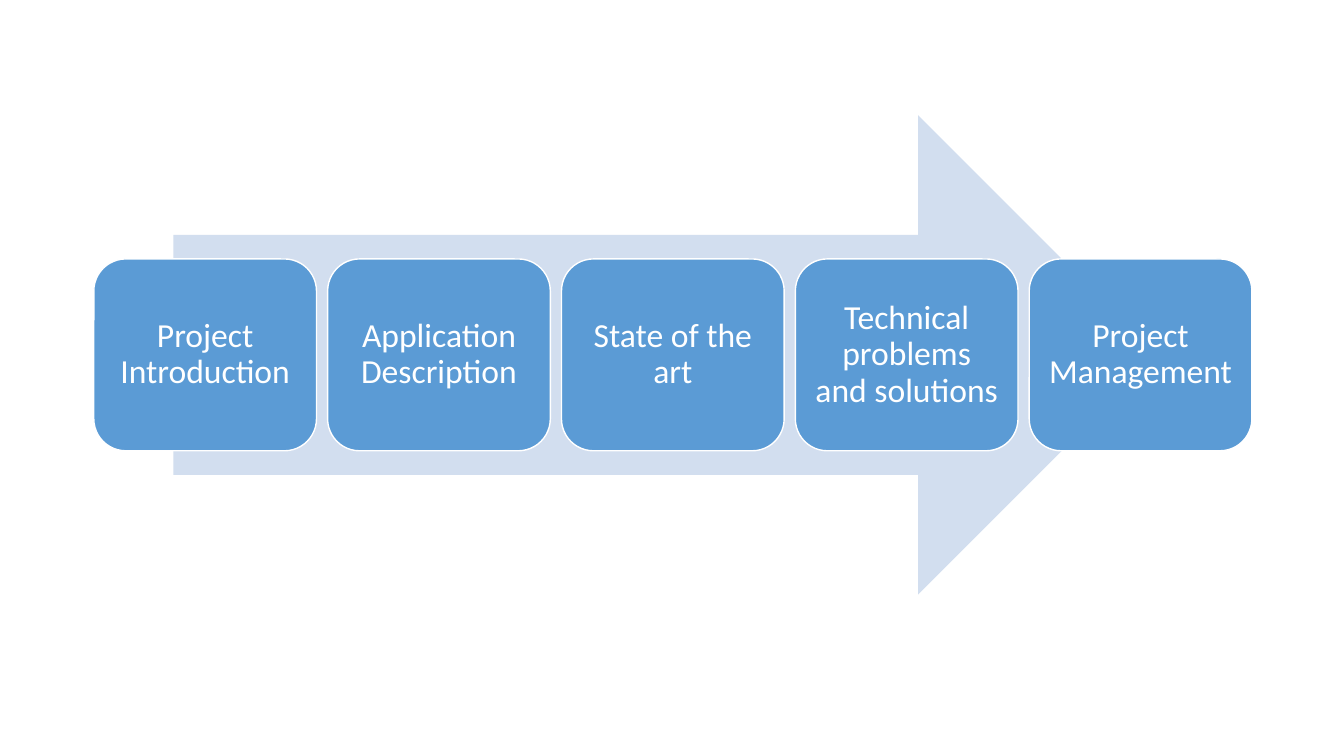
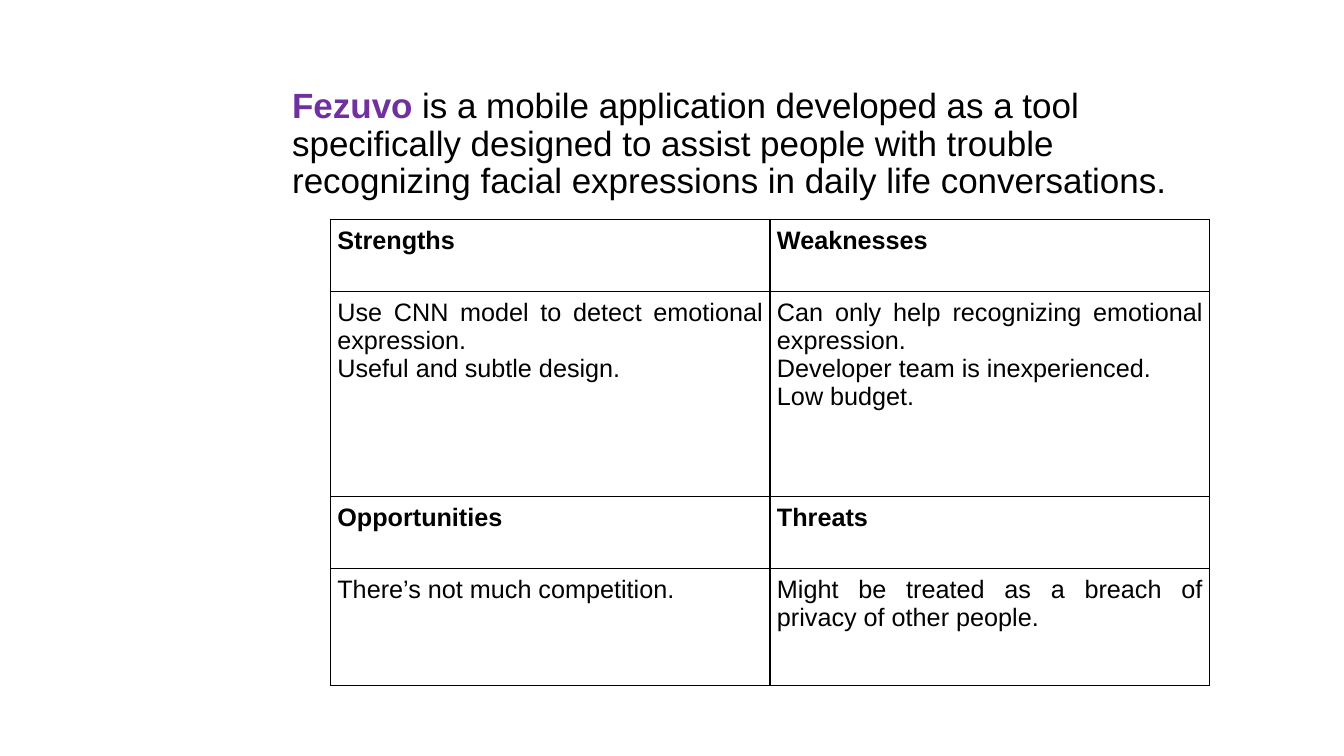
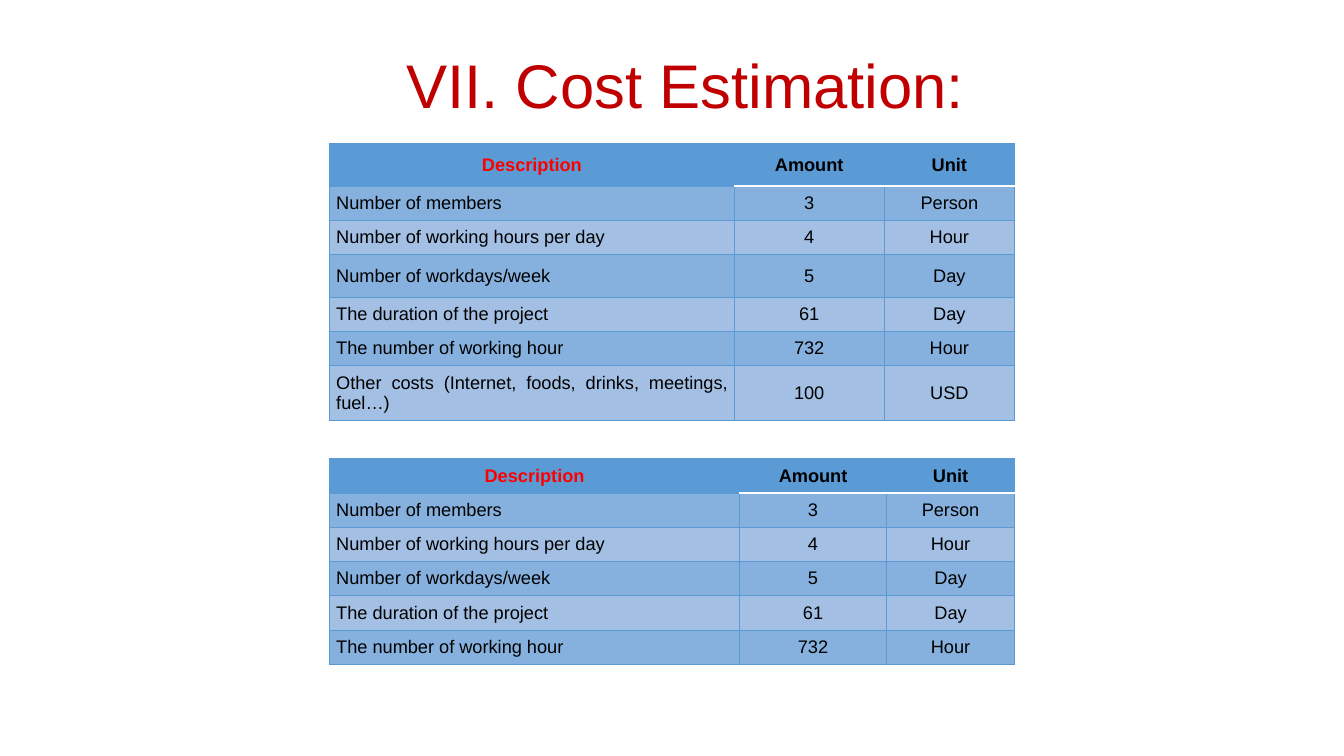
from dataclasses import dataclass

from lxml import etree
from pptx import Presentation
from pptx.dml import color
from pptx.enum import shapes, text
from pptx.oxml import ns
from pptx.util import Pt


@dataclass(frozen=True)
class Theme:
    accent: str = "5B9BD5"
    arrow: str = "D2DEEF"
    dark_band: str = "86B1DE"
    light_band: str = "A3C0E4"
    white: str = "FFFFFF"
    black: str = "000000"
    purple: str = "7030A0"
    title_red: str = "C00000"
    header_red: str = "FF0000"
    heading_font: str = "Arial"
    step_font: str = "Calibri"
    title_size: float = 44
    summary_size: float = 25
    step_size: float = 24
    swot_size: float = 18
    cost_size: float = 13


THEME = Theme()
CENTER = text.PP_ALIGN.CENTER
LEFT = text.PP_ALIGN.LEFT
JUSTIFY = text.PP_ALIGN.JUSTIFY
MIDDLE = text.MSO_ANCHOR.MIDDLE


def rgb(value):
    return color.RGBColor.from_string(value)


def write_text(frame, paragraphs, size, ink=THEME.black, font=THEME.heading_font,
               bold=False, align=LEFT, spacing=1.0):
    for index, runs in enumerate(paragraphs):
        paragraph = frame.paragraphs[0] if index == 0 else frame.add_paragraph()
        paragraph.alignment = align
        paragraph.line_spacing = spacing
        for content, changes in [(runs, {})] if isinstance(runs, str) else runs:
            run = paragraph.add_run()
            run.text = content
            run.font.name = font
            run.font.size = Pt(size)
            run.font.bold = changes.get("bold", bold)
            run.font.color.rgb = rgb(changes.get("ink", ink))


def set_margins(target, across, down):
    target.margin_left = target.margin_right = Pt(across)
    target.margin_top = target.margin_bottom = Pt(down)


def add_block(slide, kind, box, fill):
    shape = slide.shapes.add_shape(kind, *map(Pt, box))
    shape.shadow.inherit = False
    shape.fill.solid()
    shape.fill.fore_color.rgb = rgb(fill)
    shape.line.fill.background()
    return shape


def add_title(slide, box, paragraphs, **style):
    frame = slide.shapes.add_textbox(*map(Pt, box)).text_frame
    frame.word_wrap = True
    frame.vertical_anchor = MIDDLE
    write_text(frame, paragraphs, spacing=0.9, **style)


def set_borders(cell, borders):
    properties = cell._tc.get_or_add_tcPr()
    for index, (side, (ink, width)) in enumerate(borders.items()):
        line = etree.Element(ns.qn(f"a:ln{side}"), w=str(int(Pt(width))))
        fill = etree.SubElement(line, ns.qn("a:solidFill"))
        etree.SubElement(fill, ns.qn("a:srgbClr"), val=ink)
        properties.insert(index, line)


def add_grid(slide, left, top, widths, heights):
    frame = slide.shapes.add_table(
        len(heights), len(widths), Pt(left), Pt(top), Pt(sum(widths)), Pt(sum(heights)))
    table = frame.table
    table.first_row = table.horz_banding = False
    for column, width in zip(table.columns, widths):
        column.width = Pt(width)
    for row, height in zip(table.rows, heights):
        row.height = Pt(height)
    return table


def add_process(slide, box, steps, gap):
    left, top, width, height = box
    step_width = (width - gap * (len(steps) - 1)) / len(steps)
    step_height = height * 0.4
    add_block(slide, shapes.MSO_SHAPE.RIGHT_ARROW,
              (left + width * 0.07 - 1, top, width * 0.85, height), THEME.arrow)
    for index, label in enumerate(steps):
        step = add_block(slide, shapes.MSO_SHAPE.ROUNDED_RECTANGLE,
                         (left + index * (step_width + gap), top + (height - step_height) / 2,
                          step_width, step_height), THEME.accent)
        step.line.color.rgb = rgb(THEME.white)
        step.line.width = Pt(1)
        frame = step.text_frame
        frame.word_wrap = True
        frame.vertical_anchor = MIDDLE
        set_margins(frame, 6.5, 6.5)
        write_text(frame, [label], THEME.step_size, ink=THEME.white,
                   font=THEME.step_font, align=CENTER, spacing=0.9)


def add_swot(slide, box, quadrants):
    left, top, width, height = box
    heights = [height * share for share in (0.155, 0.44, 0.155, 0.25)]
    table = add_grid(slide, left, top, [width / 2] * 2, heights)
    for index, (heading, points) in enumerate(quadrants):
        row, column = divmod(index, 2)
        for offset, lines in enumerate(([heading], points)):
            cell = table.cell(2 * row + offset, column)
            cell.fill.background()
            set_margins(cell, 5, 5)
            set_borders(cell, dict.fromkeys("LRTB", (THEME.black, 1)))
            write_text(cell.text_frame, lines, THEME.swot_size,
                       bold=offset == 0, align=JUSTIFY)


def add_costs(slide, left, top, widths, heights, items):
    table = add_grid(slide, left, top, widths, heights)
    for row, values in enumerate([("Description", "Amount", "Unit"), *items]):
        header = row == 0
        fill = THEME.accent if header else (THEME.light_band, THEME.dark_band)[row % 2]
        for column, value in enumerate(values):
            first = column == 0
            cell = table.cell(row, column)
            cell.fill.solid()
            cell.fill.fore_color.rgb = rgb(fill)
            cell.vertical_anchor = MIDDLE
            set_margins(cell, 4.9, 3.8)
            borders = dict.fromkeys("LRTB", (THEME.accent, 0.5))
            if row < 2 and not first:
                borders["B" if header else "T"] = (THEME.white, 1)
            set_borders(cell, borders)
            write_text(cell.text_frame, [value], THEME.cost_size, bold=header,
                       ink=THEME.header_red if header and first else THEME.black,
                       align=JUSTIFY if first and not header else CENTER)


def build_agenda(slide):
    add_process(slide, (67, 82.2, 827.2, 342.6),
                ["Project Introduction", "Application Description", "State of the art",
                 "Technical problems and solutions", "Project Management"], 8)


def build_summary(slide):
    add_title(slide, (201.6, 51.1, 692.6, 104.4), [[
        ("Fezuvo", {"ink": THEME.purple, "bold": True}),
        (" is a mobile application developed as a tool specifically designed to assist "
         "people with trouble recognizing facial expressions in daily life conversations.", {}),
    ]], size=THEME.summary_size)
    add_swot(slide, (236, 156.6, 628, 333), [
        ("Strengths", ["Use CNN model to detect emotional expression.",
                       "Useful and subtle design."]),
        ("Weaknesses", ["Can only help recognizing emotional expression.",
                        "Developer team is inexperienced.", "Low budget."]),
        ("Opportunities", ["There’s not much competition."]),
        ("Threats", ["Might be treated as a breach of privacy of other people."]),
    ])


def build_estimation(slide):
    add_title(slide, (76, 10.8, 828, 104.4), ["VII. Cost Estimation:"],
              size=THEME.title_size, ink=THEME.title_red, align=CENTER)
    items = [
        ("Number of members", "3", "Person"),
        ("Number of working hours per day", "4", "Hour"),
        ("Number of workdays/week", "5", "Day"),
        ("The duration of the project", "61", "Day"),
        ("The number of working hour", "732", "Hour"),
    ]
    other = ("Other costs (Internet, foods, drinks, meetings, fuel…)", "100", "USD")
    row, tall = 24.5, 30.3
    add_costs(slide, 235.3, 102.6, [289.2, 107, 93.3],
              [tall, row, row, tall, row, row, 39], [*items, other])
    add_costs(slide, 235.3, 327.6, [293, 104.9, 91.6], [row] * 6, items)


def main():
    presentation = Presentation()
    presentation.slide_width = Pt(960)
    presentation.slide_height = Pt(540)
    for build in (build_agenda, build_summary, build_estimation):
        build(presentation.slides.add_slide(presentation.slide_layouts[6]))
    presentation.save("out.pptx")


if __name__ == "__main__":
    main()
